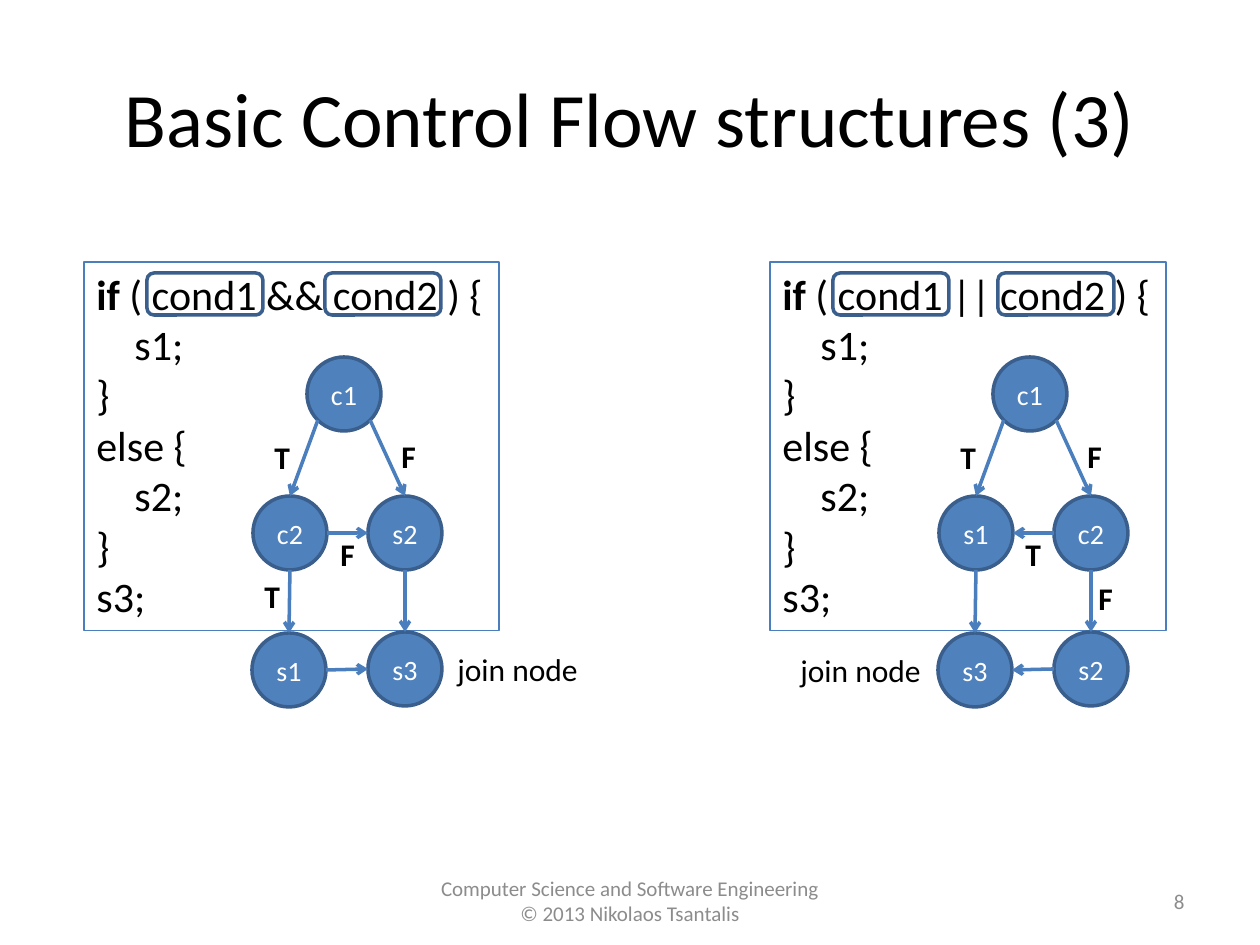
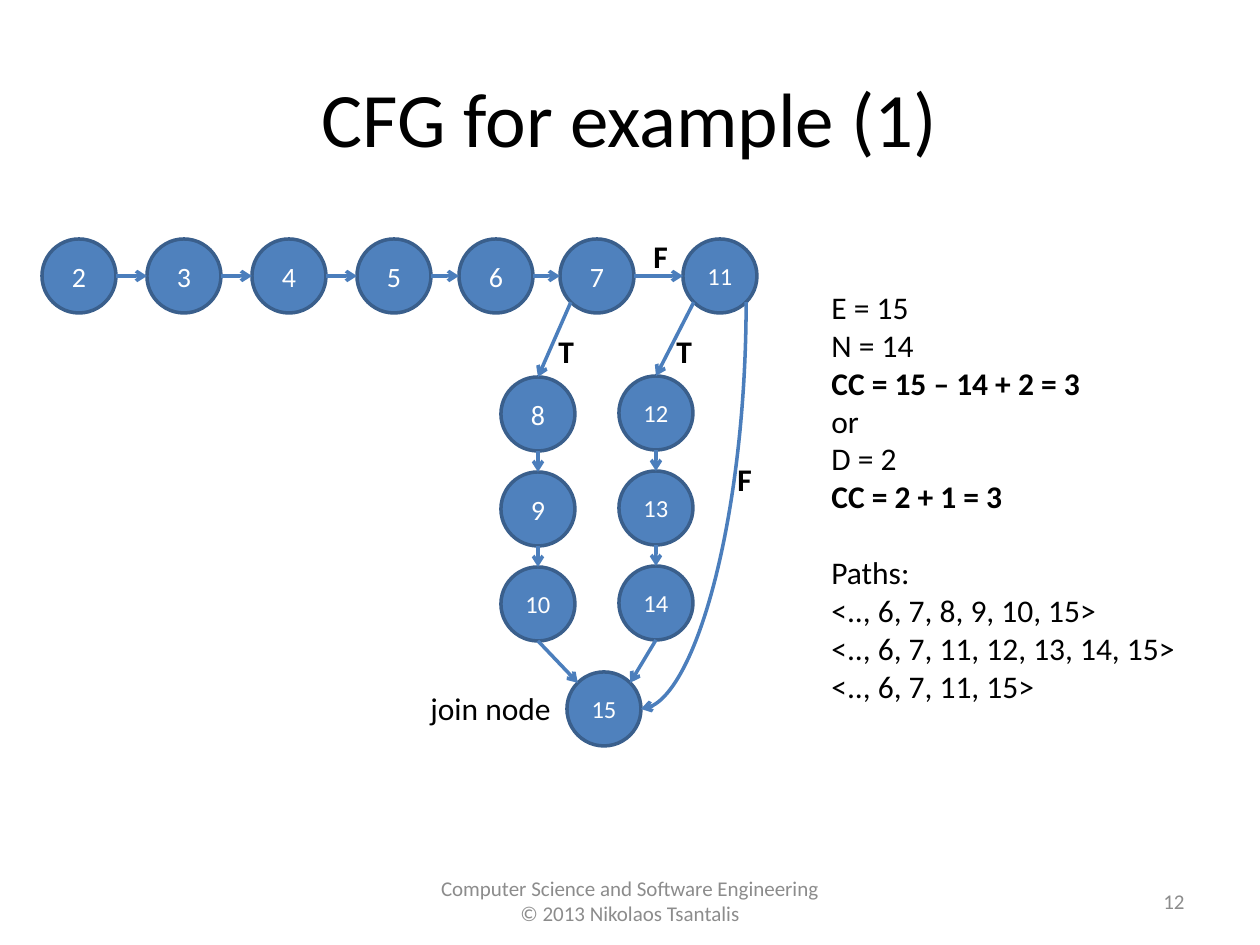
"""Builds two slides on control flow graphs."""
import dataclasses
import math

import lxml.etree
import pptx
import pptx.dml.color
import pptx.enum.shapes
import pptx.enum.text
import pptx.oxml.ns
import pptx.util

SCALE = 914400 // 126
ALIGN = pptx.enum.text.PP_ALIGN
ANCHOR = pptx.enum.text.MSO_ANCHOR
SHAPE = pptx.enum.shapes.MSO_SHAPE
CONNECTOR = pptx.enum.shapes.MSO_CONNECTOR
TOP, LEFT, LOWER_LEFT, BOTTOM, LOWER_RIGHT, RIGHT, UPPER_RIGHT = 0, 2, 3, 4, 5, 6, 7
UPPER_LEFT = 1


@dataclasses.dataclass(frozen=True)
class Theme:
    font: str = "Calibri"
    ink: str = "000000"
    muted: str = "8C8C8C"
    node_fill: str = "4F81BD"
    node_line: str = "3A5F8C"
    edge: str = "4B7EBC"
    node_text: str = "FFFFFF"
    title_size: int = 44
    code_size: int = 24
    body_size: int = 18
    node_size: int = 16
    number_size: int = 14
    footer_size: int = 12
    thick: float = 2
    thin: float = 0.75
    diameter: int = 74


@dataclasses.dataclass(frozen=True)
class Line:
    text: str
    bold: bool = False
    lead: str = ""
    indent: int = 0
    before: int = 0


@dataclasses.dataclass(frozen=True)
class Node:
    shape: object
    x: float
    y: float


THEME = Theme()


def px(value):
    return pptx.util.Emu(round(value * SCALE))


def rgb(code):
    return pptx.dml.color.RGBColor.from_string(code)


def add_span(para, text, size, color, bold):
    span = para.add_run()
    span.text = text
    span.font.name = THEME.font
    span.font.size = pptx.util.Pt(size)
    span.font.bold = bold
    span.font.color.rgb = rgb(color)


def write(shape, lines, size, color=THEME.ink, align=ALIGN.LEFT,
          anchor=ANCHOR.TOP, wrap=True, grow=False):
    frame = shape.text_frame
    frame.word_wrap = wrap
    frame.vertical_anchor = anchor
    if grow:
        frame.auto_size = pptx.enum.text.MSO_AUTO_SIZE.SHAPE_TO_FIT_TEXT
    for index, line in enumerate(lines):
        para = frame.add_paragraph() if index else frame.paragraphs[0]
        para.alignment = align
        if line.before:
            para.space_before = pptx.util.Pt(line.before)
        if line.indent:
            para._p.get_or_add_pPr().set("marL", str(px(line.indent)))
        if line.lead:
            add_span(para, line.lead, size, color, True)
        add_span(para, line.text, size, color, line.bold)


def add_text(slide, bounds, lines, size, **style):
    box = slide.shapes.add_textbox(*map(px, bounds))
    write(box, lines, size, **style)


def add_outline(slide, kind, bounds, color, width, fill=None):
    shape = slide.shapes.add_shape(kind, *map(px, bounds))
    shape.shadow.inherit = False
    shape.line.color.rgb = rgb(color)
    shape.line.width = pptx.util.Pt(width)
    if fill:
        shape.fill.solid()
        shape.fill.fore_color.rgb = rgb(fill)
    else:
        shape.fill.background()
    return shape


def add_node(slide, label, x, y):
    size = THEME.diameter
    shape = add_outline(slide, SHAPE.OVAL, (x, y, size, size),
                        THEME.node_line, THEME.thick, THEME.node_fill)
    two_digits = label.isdigit() and len(label) == 2
    write(shape, [Line(label)], THEME.number_size if two_digits else THEME.node_size,
          THEME.node_text, ALIGN.CENTER, ANCHOR.MIDDLE, wrap=False)
    return Node(shape, x + size / 2, y + size / 2)


def port(node, site):
    """Return a connection site; sites run counter-clockwise from the top."""
    angle = math.radians(45 * site)
    radius = THEME.diameter / 2
    return node.x - radius * math.sin(angle), node.y - radius * math.cos(angle)


def add_edge(slide, start, start_site, end, end_site, curved=False):
    x1, y1 = port(start, start_site)
    x2, y2 = port(end, end_site)
    kind = CONNECTOR.STRAIGHT
    if curved:
        kind = CONNECTOR.CURVE
        middle_x, middle_y = (x1 + x2) / 2, (y1 + y2) / 2
        half_x, half_y = abs(x2 - x1) / 2, abs(y2 - y1) / 2
        x1, x2 = middle_x - half_y, middle_x + half_y
        y1, y2 = middle_y - half_x, middle_y + half_x
    edge = slide.shapes.add_connector(kind, *map(px, (x1, y1, x2, y2)))
    edge.line.color.rgb = rgb(THEME.edge)
    edge.line.width = pptx.util.Pt(THEME.thick)
    qn = pptx.oxml.ns.qn
    properties = edge._element.spPr
    if curved:
        properties.find(qn("a:xfrm")).set("rot", "5400000")
        properties.find(qn("a:prstGeom")).set("prst", "curvedConnector2")
    line = properties.find(qn("a:ln"))
    lxml.etree.SubElement(line, qn("a:tailEnd"), type="arrow")
    lxml.etree.SubElement(properties, qn("a:effectLst"))
    glue = edge._element.nvCxnSpPr.cNvCxnSpPr
    for tag, node, site in (("a:stCxn", start, start_site), ("a:endCxn", end, end_site)):
        lxml.etree.SubElement(glue, qn(tag), id=str(node.shape.shape_id), idx=str(site))


def add_label(slide, text, x, y):
    add_text(slide, (x, y, 40, 50), [Line(text, bold=True)], THEME.body_size,
             wrap=False, grow=True)


def add_join_label(slide, x, y):
    add_text(slide, (x, y, 150, 50), [Line("join node")], THEME.body_size,
             wrap=False, grow=True)


def add_page(deck, title, number):
    page = deck.slides.add_slide(deck.slide_layouts[6])
    add_text(page, (63, 38, 1134, 157), [Line(title)], THEME.title_size,
             align=ALIGN.CENTER, anchor=ANCHOR.MIDDLE)
    footer = [Line("Computer Science and Software Engineering"),
              Line("© 2013 Nikolaos Tsantalis")]
    add_text(page, (0, 876, 1260, 50), footer, THEME.footer_size, color=THEME.muted,
             align=ALIGN.CENTER, anchor=ANCHOR.MIDDLE)
    add_text(page, (903, 876, 294, 50), [Line(number)], THEME.footer_size,
             color=THEME.muted, align=ALIGN.RIGHT, anchor=ANCHOR.MIDDLE)
    return page


def add_condition(page, x, operator, width, outlines, names):
    """Draw an if statement at x and the five nodes of its graph."""
    code = [Line(f" ( cond1 {operator} cond2 ) {{", lead="if"), Line("s1;", indent=38),
            Line("}"), Line("else {"), Line("s2;", indent=38), Line("}"), Line("s3;")]
    box = add_outline(page, SHAPE.RECTANGLE, (x, 262, width, 369), THEME.edge, THEME.thin)
    write(box, code, THEME.code_size, wrap=False, grow=True)
    for offset in outlines:
        add_outline(page, SHAPE.ROUNDED_RECTANGLE, (x + offset, 273, 116, 42),
                    THEME.node_line, THEME.thick)
    places = ((223, 357), (169, 496), (284, 496), (168, 633), (284, 632))
    top, left, right, low_left, low_right = (
        add_node(page, name, x + dx, y) for name, (dx, y) in zip(names, places))
    add_edge(page, top, LOWER_LEFT, left, TOP)
    add_edge(page, top, LOWER_RIGHT, right, TOP)
    add_edge(page, left, BOTTOM, low_left, TOP)
    add_edge(page, right, BOTTOM, low_right, TOP)
    add_label(page, "T", x + 178, 432)
    add_label(page, "F", x + 305, 431)
    return (left, right), (low_left, low_right)


def build_structures(deck):
    page = add_page(deck, "Basic Control Flow structures (3)", "8")
    for left, right in add_condition(page, 84, "&&", 415, (63, 241),
                                     ("c1", "c2", "s2", "s1", "s3")):
        add_edge(page, left, RIGHT, right, LEFT)
    add_label(page, "F", 328, 529)
    add_label(page, "T", 252, 571)
    add_join_label(page, 445, 644)
    for left, right in add_condition(page, 770, "||", 396, (63, 228),
                                     ("c1", "s1", "c2", "s3", "s2")):
        add_edge(page, right, LEFT, left, RIGHT)
    add_label(page, "T", 1013, 529)
    add_label(page, "F", 1086, 573)
    add_join_label(page, 788, 645)


def add_chain(page, places, leave, enter):
    """Draw nodes in order, each joined to the next one."""
    nodes = [add_node(page, *place) for place in places]
    for start, end in zip(nodes, nodes[1:]):
        add_edge(page, start, leave, end, enter)
    return nodes


def build_example(deck):
    page = add_page(deck, "CFG for example (1)", "12")
    columns = {"2": 42, "3": 147, "4": 252, "5": 357, "6": 459, "7": 560, "11": 683}
    row = add_chain(page, [(name, x, 239) for name, x in columns.items()], RIGHT, LEFT)
    join = add_node(page, "15", 567, 672)
    branches = ((row[-2], 8, 501, 377, UPPER_LEFT), (row[-1], 12, 619, 376, UPPER_RIGHT))
    for decision, first, x, y, entry in branches:
        places = [(str(first + step), x, y + 95 * step) for step in range(3)]
        chain = add_chain(page, places, BOTTOM, TOP)
        add_edge(page, decision, LOWER_LEFT, chain[0], TOP)
        add_edge(page, chain[-1], BOTTOM, join, entry)
        add_label(page, "T", x + 45, 326)
    add_edge(page, row[-1], LOWER_RIGHT, join, RIGHT, curved=True)
    add_label(page, "F", 641, 231)
    add_label(page, "F", 725, 454)
    add_join_label(page, 418, 683)
    notes = [Line("E = 15"), Line("N = 14"), Line("CC = 15 – 14 + 2 = 3", bold=True),
             Line("or"), Line("D = 2"), Line("CC = 2 + 1 = 3", bold=True),
             Line("Paths:", before=22), Line("<.., 6, 7, 8, 9, 10, 15>"),
             Line("<.., 6, 7, 11, 12, 13, 14, 15>"), Line("<.., 6, 7, 11, 15>")]
    add_text(page, (819, 282, 393, 432), notes, THEME.body_size, grow=True)


def main():
    deck = pptx.Presentation()
    deck.slide_width, deck.slide_height = px(1260), px(945)
    build_structures(deck)
    build_example(deck)
    deck.save("out.pptx")


main()
